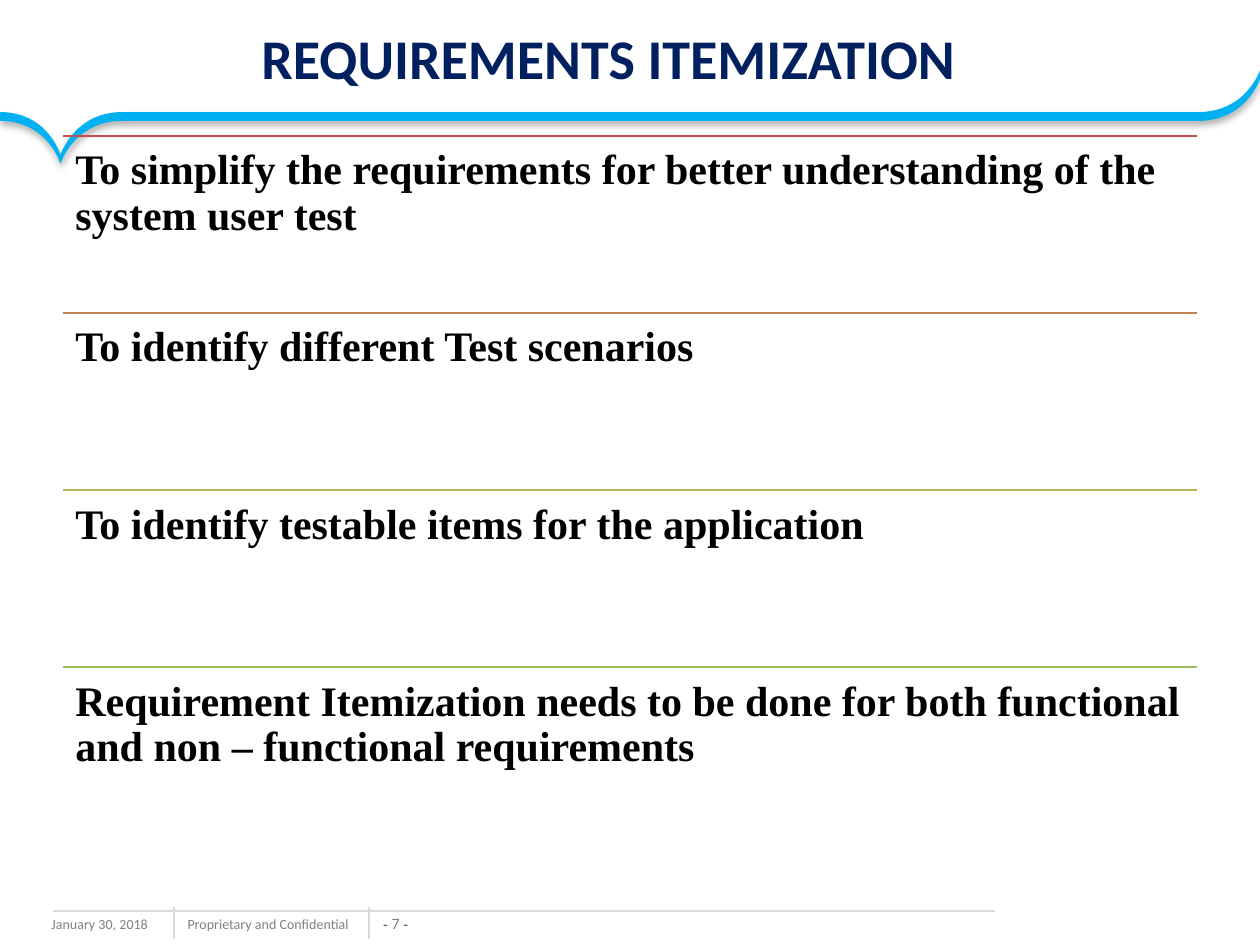
from dataclasses import dataclass

from lxml import etree
from pptx import Presentation, util as u
from pptx.dml.color import RGBColor
from pptx.enum import shapes as sh, text as tx
from pptx.oxml import parse_xml
from pptx.oxml.ns import nsdecls, qn

NAVY = RGBColor(0x00, 0x20, 0x60)
SKY = RGBColor(0x00, 0xB0, 0xF0)
BLACK = RGBColor(0x00, 0x00, 0x00)
GRAY = RGBColor(0x80, 0x80, 0x80)
PALE = RGBColor(0xD9, 0xD9, 0xD9)
BLUE = RGBColor(0x1F, 0x49, 0x7D)
RED = RGBColor(0xC0, 0x50, 0x4D)
RUST = RGBColor(0xBE, 0x83, 0x51)
GOLD = RGBColor(0xBD, 0xB2, 0x55)
GREEN = RGBColor(0x9B, 0xBB, 0x59)

Point = tuple[float, float]


@dataclass
class Item:
    words: str
    color: RGBColor


@dataclass
class Note:
    words: str
    left: float
    width: float
    wrap: bool


@dataclass
class Rule:
    start: Point
    end: Point


ITEMS = [
    Item("To simplify the requirements for better understanding of the system user test", RED),
    Item("To identify different Test scenarios", RUST),
    Item("To identify testable items for the application", GOLD),
    Item("Requirement Itemization needs to be done for both functional and non – functional requirements", GREEN),
]
NOTES = [
    Note("January 30, 2018", 0.31, 1.33, True),
    Note("Proprietary and Confidential", 1.39, 1.57, False),
]
RULES = [
    Rule((1.38, 7.2), (1.38, 7.45)),
    Rule((2.93, 7.2), (2.93, 7.45)),
    Rule((7.9, 7.23), (0.42, 7.23)),
]
UPPER = [
    (0, 0.89), (0.38, 0.89), (0.48, 1.23),
    (0.48, 1.23), (0.48, 1.23), (0.59, 0.89),
    (0.97, 0.89), (0.97, 0.89), (9.51, 0.89),
    (9.51, 0.89), (9.89, 0.89), (10, 0.56),
    (10, 0.56),
]
TOP, STEP = 1.08, 1.405
THICK = 0.07


def style(font, name: str, size: float, color: RGBColor, bold: bool = False) -> None:
    font.name = name
    font.size = u.Pt(size)
    font.bold = bold
    font.color.rgb = color


def add_line(slide, start: Point, end: Point, color: RGBColor, width: float) -> None:
    line = slide.shapes.add_connector(
        sh.MSO_CONNECTOR.STRAIGHT, *(u.Inches(v) for v in start + end))
    line.line.color.rgb = color
    line.line.width = u.Pt(width)
    etree.SubElement(line.element.spPr, qn("a:effectLst"))


def add_box(slide, left: float, top: float, width: float, height: float, wrap: bool = True):
    box = slide.shapes.add_textbox(*(u.Inches(v) for v in (left, top, width, height)))
    box.text_frame.word_wrap = wrap
    return box.text_frame


def set_inset(frame, inset: float) -> None:
    frame.margin_left = frame.margin_right = u.Inches(inset)
    frame.margin_top = frame.margin_bottom = u.Inches(inset)


def bend(band, first: int, curve: list[Point]) -> None:
    line = list(band.element.iter(qn("a:lnTo")))[first]
    line.tag = qn("a:cubicBezTo")
    line.clear()
    for x, y in curve:
        etree.SubElement(line, qn("a:pt"), x=str(u.Inches(x) - band.left),
                         y=str(u.Inches(y) - band.top))


def add_band(slide) -> None:
    lower = [(x, y + THICK) for x, y in reversed(UPPER)]
    nodes = [(u.Inches(x), u.Inches(y)) for x, y in UPPER[::3] + lower[::3]]
    form = slide.shapes.build_freeform(*nodes[0])
    form.add_line_segments(nodes[1:], close=True)
    band = form.convert_to_shape()
    curves = [(base + i, edge[3 * i + 1:3 * i + 4])
              for base, edge in ((0, UPPER), (5, lower)) for i in range(4)]
    for index, curve in reversed(curves):
        bend(band, index, curve)
    band.fill.solid()
    band.fill.fore_color.rgb = SKY
    band.line.fill.background()
    band.element.spPr.append(parse_xml(
        f'<a:effectLst {nsdecls("a")}><a:outerShdw blurRad="{u.Pt(4)}" dist="{u.Pt(2)}" '
        'dir="5400000" rotWithShape="0"><a:srgbClr val="000000"><a:alpha val="31000"/>'
        '</a:srgbClr></a:outerShdw></a:effectLst>'))


def add_title(slide) -> None:
    title = slide.shapes.title
    title.left, title.top = u.Inches(0.33), u.Inches(0.02)
    title.width, title.height = u.Inches(9), u.Inches(0.87)
    frame = title.text_frame
    frame.text = "REQUIREMENTS ITEMIZATION"
    frame.vertical_anchor = tx.MSO_ANCHOR.MIDDLE
    para = frame.paragraphs[0]
    para.alignment = tx.PP_ALIGN.CENTER
    style(para.font, "Calibri", 32, NAVY, True)


def add_item(slide, item: Item, top: float) -> None:
    add_line(slide, (0.5, top), (9.5, top), item.color, 1.5)
    frame = add_box(slide, 0.5, top, 9, 1.4)
    set_inset(frame, 0.1)
    para = frame.paragraphs[0]
    para.text = item.words
    para.line_spacing = 0.9
    style(para.font, "Times New Roman", 24, BLACK, True)


def add_foot(slide) -> None:
    for note in NOTES:
        para = add_box(slide, note.left, 7.22, note.width, 0.24, note.wrap).paragraphs[0]
        para.text = note.words
        style(para.font, "Calibri", 8, GRAY)
    frame = add_box(slide, 3.01, 7.25, 0.26, 0.15, False)
    set_inset(frame, 0)
    frame.vertical_anchor = tx.MSO_ANCHOR.BOTTOM
    para = frame.paragraphs[0]
    para.alignment = tx.PP_ALIGN.CENTER
    for words, name, size, color in (
            ("- ", "Arial", 8, BLUE), ("7 ", "Calibri", 9, GRAY), ("-", "Arial", 8, BLUE)):
        run = para.add_run()
        run.text = words
        style(run.font, name, size, color)
    for rule in RULES:
        add_line(slide, rule.start, rule.end, PALE, 1)


def main() -> None:
    deck = Presentation()
    deck.slide_width, deck.slide_height = u.Inches(10), u.Inches(7.5)
    slide = deck.slides.add_slide(deck.slide_layouts[5])
    add_foot(slide)
    add_band(slide)
    add_title(slide)
    for i, item in enumerate(ITEMS):
        add_item(slide, item, TOP + i * STEP)
    deck.save("out.pptx")


if __name__ == "__main__":
    main()
